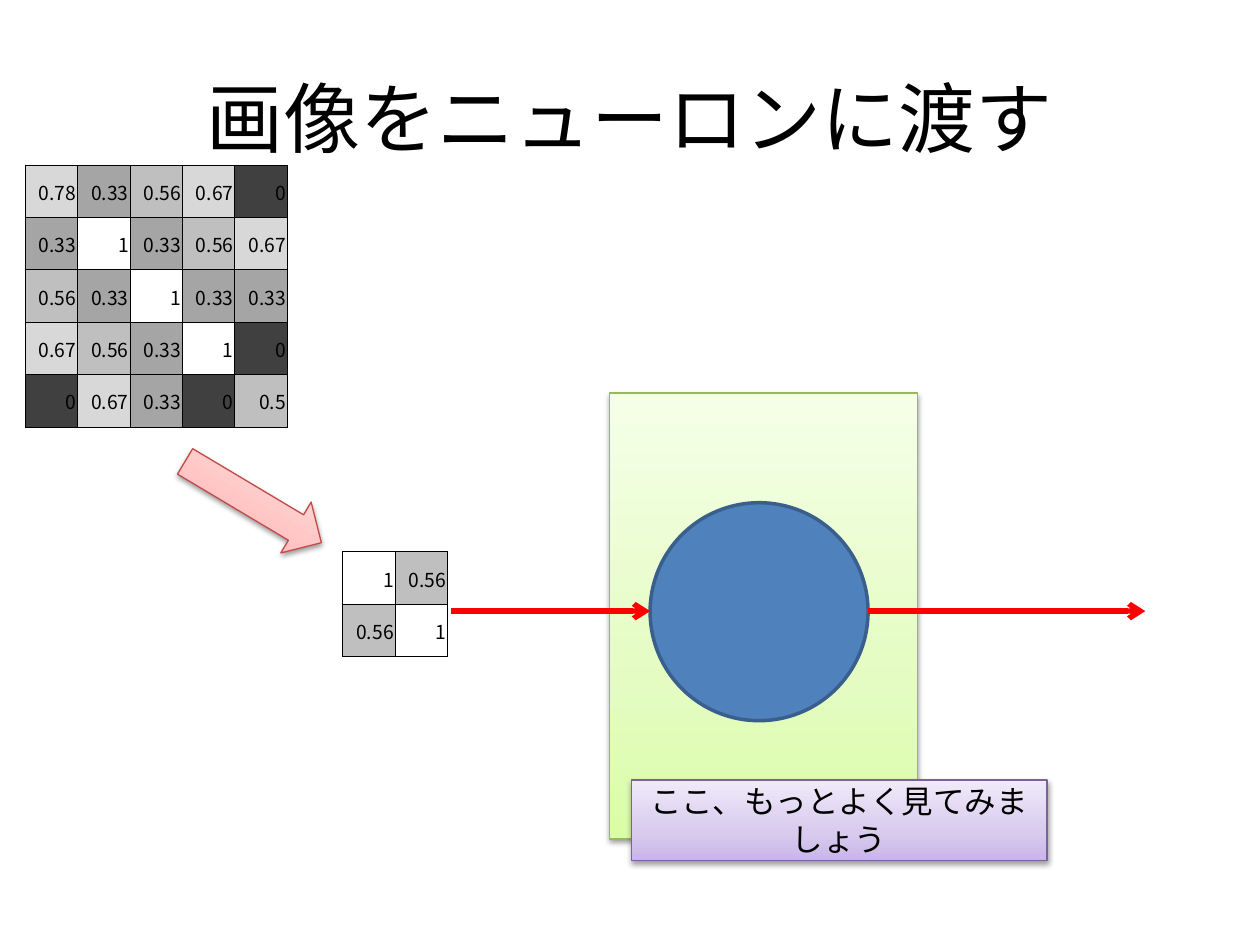
import pptx
import pptx.dml.color
import pptx.enum.shapes
import pptx.enum.text
import pptx.oxml
import pptx.oxml.ns
import pptx.util
from pptx.util import Inches

COLORS = {
    "text": "000000", "border": "000000", "signal": "FF0000",
    "neuron": "4F81BD", "neuron_line": "3A5F8C",
    "layer_line": "98B955", "note_line": "7D60A0", "pick_line": "BF4C48",
}
# Gradient stops at 0, 35 and 100 percent, from bottom to top
GRADIENTS = {
    "layer": ("DAFDA7", "E4FCC2", "F5FFE7"),
    "note": ("C9B5E8", "D8CBEE", "F0EAF9"),
    "pick": ("FFA6A5", "FFC0BF", "FFE7E7"),
}
# Grey of a pixel by its value; 1 stays unfilled
GREYS = {"0.78": "D8D8D8", "0.67": "D8D8D8", "0.56": "BFBFBF",
         "0.5": "BFBFBF", "0.33": "A5A5A5", "0": "404040"}
NS = pptx.oxml.ns.nsdecls("a")
RGB = pptx.dml.color.RGBColor.from_string
SHAPE = pptx.enum.shapes.MSO_SHAPE
ALIGN = pptx.enum.text.PP_ALIGN
qn = pptx.oxml.ns.qn


def write_text(frame, text, size, font="Calibri", align=ALIGN.CENTER):
    frame.word_wrap = True
    frame.vertical_anchor = pptx.enum.text.MSO_ANCHOR.MIDDLE
    paragraph = frame.paragraphs[0]
    paragraph.alignment = align
    run = paragraph.add_run()
    run.text = text
    run.font.size = pptx.util.Pt(size)
    run.font.name = font
    run.font.color.rgb = RGB(COLORS["text"])
    run.font._element.append(pptx.oxml.parse_xml(
        f'<a:ea {NS} typeface="Noto Sans CJK JP"/>'))


def add_shaded(kind, left, top, width, height, name):
    shape = slide.shapes.add_shape(
        kind, Inches(left), Inches(top), Inches(width), Inches(height))
    shape.fill.gradient()
    shape.fill.gradient_angle = 90
    properties = shape._element.spPr
    stops = properties.find(qn("a:gradFill")).find(qn("a:gsLst"))
    for stop in list(stops):
        stops.remove(stop)
    for percent, color in zip((0, 35, 100), GRADIENTS[name]):
        stops.append(pptx.oxml.parse_xml(
            f'<a:gs {NS} pos="{percent * 1000}"><a:srgbClr val="{color}"/></a:gs>'))
    shape.line.color.rgb = RGB(COLORS[name + "_line"])
    shape.line.width = pptx.util.Pt(0.75)
    shape.shadow.inherit = False
    properties.find(qn("a:effectLst")).append(pptx.oxml.parse_xml(
        f'<a:outerShdw {NS} blurRad="40000" dist="20000" dir="5400000" rotWithShape="0">'
        '<a:srgbClr val="000000"><a:alpha val="38000"/></a:srgbClr></a:outerShdw>'))
    return shape


presentation = pptx.Presentation()
presentation.slide_width = Inches(10)
presentation.slide_height = Inches(7.5)
slide = presentation.slides.add_slide(presentation.slide_layouts[6])

# Layer with its neuron
add_shaded(SHAPE.RECTANGLE, 4.84, 3.12, 2.44, 3.54, "layer")
neuron = slide.shapes.add_shape(
    SHAPE.OVAL, Inches(5.16), Inches(3.99), Inches(1.73), Inches(1.73))
neuron.fill.solid()
neuron.fill.fore_color.rgb = RGB(COLORS["neuron"])
neuron.line.color.rgb = RGB(COLORS["neuron_line"])
neuron.line.width = pptx.util.Pt(2)
neuron.shadow.inherit = False

# Input and output of the neuron
for start, end in ((3.58, 5.16), (6.89, 9.09)):
    signal = slide.shapes.add_connector(
        pptx.enum.shapes.MSO_CONNECTOR.STRAIGHT,
        Inches(start), Inches(4.85), Inches(end), Inches(4.85))
    signal.line.color.rgb = RGB(COLORS["signal"])
    signal.line.width = pptx.util.Pt(3)
    properties = signal._element.spPr
    properties.find(qn("a:ln")).append(
        pptx.oxml.parse_xml(f'<a:tailEnd {NS} type="arrow"/>'))
    properties.append(pptx.oxml.parse_xml(f"<a:effectLst {NS}/>"))

# Title
title = slide.shapes.add_textbox(Inches(0.5), Inches(0.3), Inches(9), Inches(1.25))
write_text(title.text_frame, "画像をニューロンに渡す", size=44)

# Whole image and the patch taken from it
image = ["0.78 0.33 0.56 0.67 0",
         "0.33 1 0.33 0.56 0.67",
         "0.56 0.33 1 0.33 0.33",
         "0.67 0.56 0.33 1 0",
         "0 0.67 0.33 0 0.5"]
patch = ["1 0.56",
         "0.56 1"]
for pixels, left, top, side in ((image, 0.2, 1.31, 2.08), (patch, 2.72, 4.38, 0.83)):
    count = len(pixels)
    grid = slide.shapes.add_table(
        count, count, Inches(left), Inches(top), Inches(side), Inches(side)).table
    for index in range(count):
        grid.columns[index].width = Inches(side / count)
        grid.rows[index].height = Inches(side / count)
    for row, line in enumerate(pixels):
        for column, value in enumerate(line.split()):
            cell = grid.cell(row, column)
            cell.margin_left = cell.margin_right = cell.margin_top = Inches(0.01)
            cell.margin_bottom = 0
            write_text(cell.text_frame, value, size=11,
                       font="Noto Sans CJK JP", align=ALIGN.RIGHT)
            cell.vertical_anchor = pptx.enum.text.MSO_ANCHOR.MIDDLE
            for edge in "LRTB":
                cell._tc.get_or_add_tcPr().append(pptx.oxml.parse_xml(
                    f'<a:ln{edge} {NS} w="6350"><a:solidFill>'
                    f'<a:srgbClr val="{COLORS["border"]}"/></a:solidFill></a:ln{edge}>'))
            if value in GREYS:
                cell.fill.solid()
                cell.fill.fore_color.rgb = RGB(GREYS[value])
            else:
                cell.fill.background()

# Note on the layer
note = add_shaded(SHAPE.RECTANGLE, 5.01, 6.19, 3.3, 0.64, "note")
write_text(note.text_frame, "ここ、もっとよく見てみましょう", size=18)

# Arrow from image to patch
pick = add_shaded(SHAPE.RIGHT_ARROW, 1.38, 3.75, 1.26, 0.47, "pick")
pick.rotation = 30.8

presentation.save("out.pptx")
